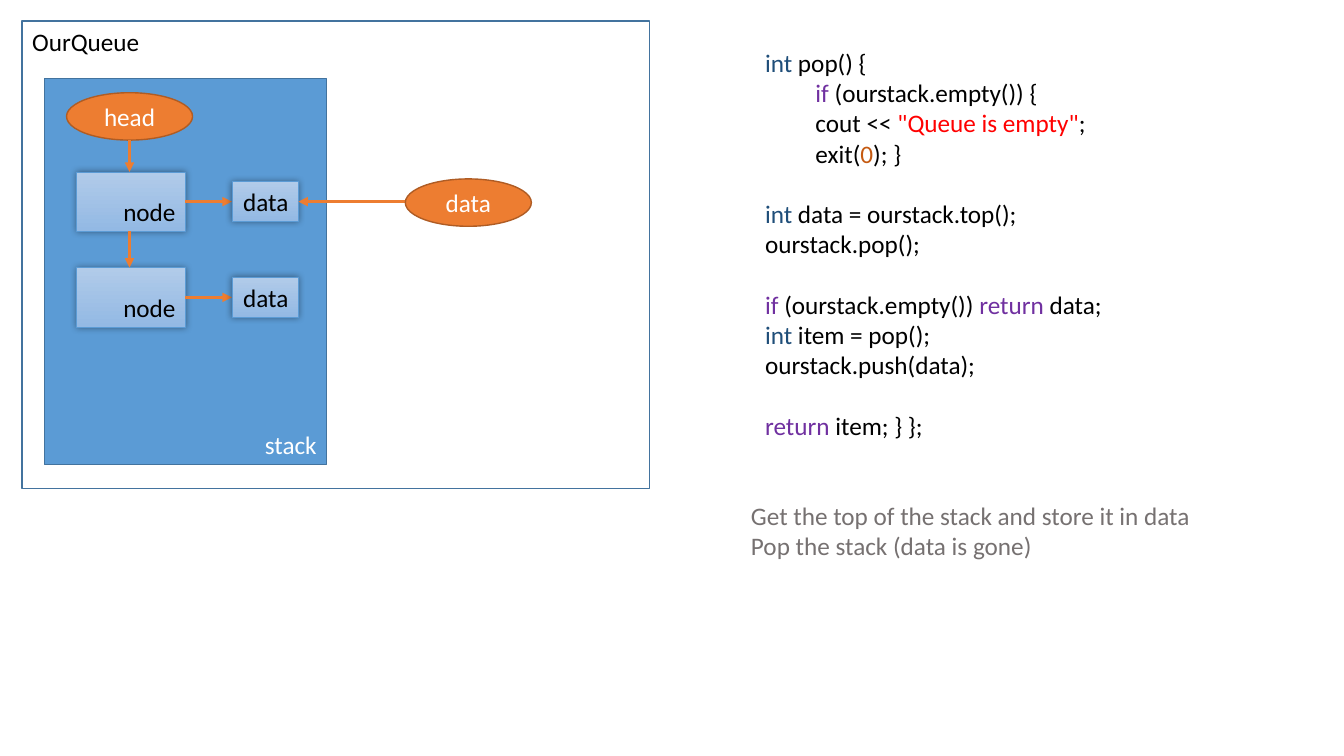
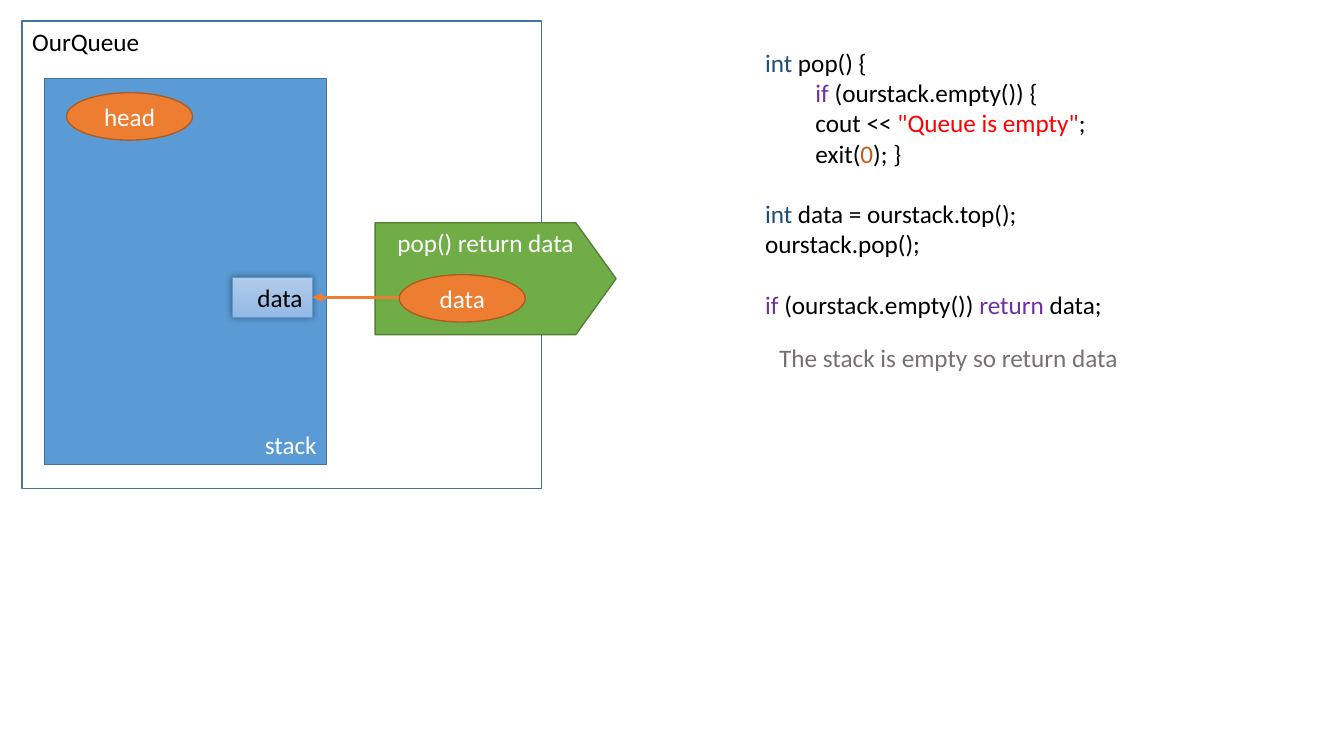
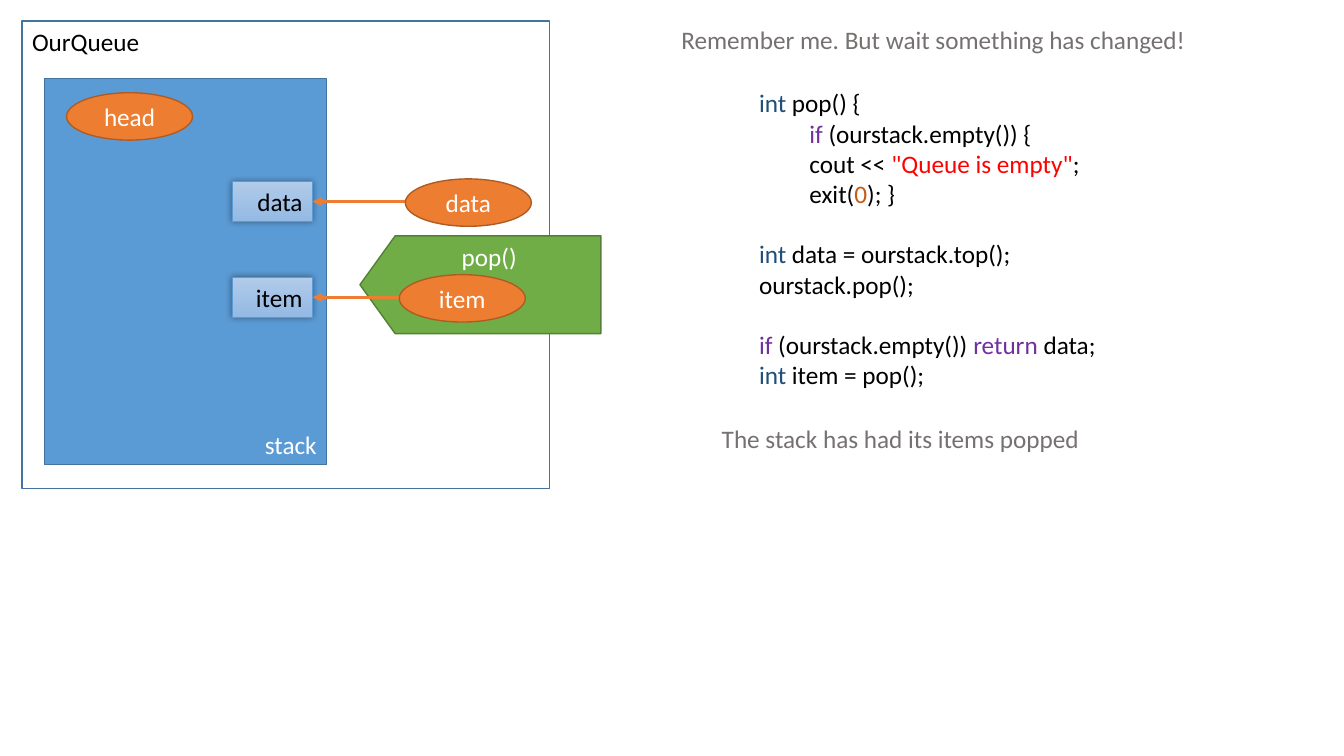
from lxml.etree import SubElement as Sub
from pptx import Presentation
from pptx.dml.color import RGBColor as Rgb
from pptx.enum.shapes import MSO_CONNECTOR as Link, MSO_SHAPE as Form
from pptx.enum.text import MSO_ANCHOR as Anchor, PP_ALIGN as Align
from pptx.oxml.ns import qn
from pptx.util import Inches, Pt

# Content
INK = {
    "text": "000000", "white": "FFFFFF", "note": "767171",
    "type": "1F4E79", "key": "7030A0", "quote": "FF0000", "num": "C55A11",
    "blue": "5B9BD5", "edge": "43739E", "orange": "ED7D31", "rust": "AF5C24",
    "green": "70AD47", "moss": "538035", "pale": "B1CBE9", "mid": "93B9E4",
}
# Each code line: blank line above, indent steps, runs
CODE = [
    (0, 0, [("int", "type"), (" pop() {", "text")]),
    (0, 1, [("if ", "key"), ("(ourstack.empty()) {", "text")]),
    (0, 1, [("cout << ", "text"), ('"Queue is empty"', "quote"), (";", "text")]),
    (0, 1, [("exit(", "text"), ("0", "num"), ("); }", "text")]),
    (1, 0, [("int", "type"), (" data = ourstack.top();", "text")]),
    (0, 0, [("ourstack.pop();", "text")]),
    (1, 0, [("if ", "key"), ("(ourstack.empty()) ", "text"),
            ("return", "key"), (" data;", "text")]),
    (0, 0, [("int", "type"), (" item = pop();", "text")]),
    (0, 0, [("ourstack.push(data);", "text")]),
    (1, 0, [("return", "key"), (" item; } };", "text")]),
]
# cells: row, label, width; refs: row, label; plate: label, box, flipped
SLIDES = [
    dict(queue=6.22, nodes=[0, 1], cells=[(0, "data", 0.66), (1, "data", 0.66)],
         refs=[(0, "data")], plate=None, code=(7.49, 0.42, 10),
         notes=[(7.35, 4.91, 4.61, ["Get the top of the stack and store it in data",
                                    "Pop the stack (data is gone)"])]),
    dict(queue=5.15, nodes=[], cells=[(1, "data", 0.8)], refs=[(1, "data")],
         plate=("pop() return data", (3.72, 2.21, 2.39, 1.11), False),
         code=(7.49, 0.42, 7),
         notes=[(7.63, 3.35, 3.6, ["The stack is empty so return data"])]),
    dict(queue=5.23, nodes=[], cells=[(0, "data", 0.8), (1, "item", 0.8)],
         refs=[(0, "data"), (1, "item")],
         plate=("pop()", (3.57, 2.34, 2.39, 0.97), True),
         code=(7.43, 0.82, 8),
         notes=[(6.66, 0.19, 5.26, ["Remember me. But wait something has changed!"]),
                (7.06, 4.15, 3.79, ["The stack has had its items popped"])]),
]

# Grid
LINE, PAD = 0.3, 0.05
ROW, STEP = 2.0, 0.95
NODE, CELL = 0.76, 2.3
REF = (4.02, 3.96)
OVAL = (1.25, 0.47)
HEAD = (0.66, 0.92)
BOX = (1.08, 0.59)
TALL = 0.4


def tint(name):
    return Rgb.from_string(INK[name])


def mid(row):
    return ROW + row * STEP


def add_run(para, text, ink):
    run = para.add_run()
    run.text = text
    run.font.name, run.font.size = "Calibri", Pt(18)
    run.font.color.rgb = tint(ink)


def shape(page, form, box, label, fill, line, ink="white",
          anchor=Anchor.MIDDLE, align=Align.CENTER, width=1):
    item = page.shapes.add_shape(form, *map(Inches, box))
    item.shadow.inherit = False
    if fill:
        item.fill.solid()
        item.fill.fore_color.rgb = tint(fill)
    else:
        item.fill.background()
    item.line.color.rgb, item.line.width = tint(line), Pt(width)
    frame = item.text_frame
    frame.word_wrap, frame.vertical_anchor = True, anchor
    para = frame.paragraphs[0]
    para.alignment = align
    add_run(para, label, ink)
    return item


def block(page, box, label):
    item = shape(page, Form.RECTANGLE, box, label, "pale", "blue", "text",
                 Anchor.BOTTOM, Align.RIGHT, 0.5)
    item.fill.gradient()
    item.fill.gradient_angle = 270
    for stop, name in zip(item.fill.gradient_stops, ("pale", "mid")):
        stop.color.rgb = tint(name)
    # Soft glow of shade on all sides
    list_ = item._element.spPr.find(qn("a:effectLst"))
    shade = Sub(list_, qn("a:outerShdw"), blurRad=str(Pt(5)), dist="0", dir="0")
    color = Sub(shade, qn("a:srgbClr"), val=INK["text"])
    Sub(color, qn("a:alpha"), val="40000")


def oval(page, left, top, label):
    shape(page, Form.OVAL, (left, top, *OVAL), label, "orange", "rust")


def arrow(page, *ends):
    link = page.shapes.add_connector(Link.STRAIGHT, *map(Inches, ends))
    link.line.color.rgb, link.line.width = tint("orange"), Pt(2.25)
    Sub(link.line._get_or_add_ln(), qn("a:tailEnd"), type="triangle")
    Sub(link._element.spPr, qn("a:effectLst"))


def text(page, left, top, wide, lines):
    count = sum(1 + gap for gap, _, _ in lines)
    area = page.shapes.add_textbox(*map(Inches, (left, top, wide,
                                                 count * LINE + 2 * PAD)))
    frame = area.text_frame
    frame.word_wrap = True
    for at, (gap, dent, runs) in enumerate(lines):
        para = frame.add_paragraph() if at else frame.paragraphs[0]
        if gap:
            para.space_before = Pt(gap * LINE * 72)
        if dent:
            para._p.get_or_add_pPr().set("marL", str(Inches(dent / 2)))
        for part, ink in runs:
            add_run(para, part, ink)


def build(page, queue, nodes, cells, refs, plate, code, notes):
    # Queue, stack and head
    shape(page, Form.RECTANGLE, (0.22, 0.21, queue, 4.64), "OurQueue", None,
          "edge", "text", Anchor.TOP, Align.LEFT)
    shape(page, Form.RECTANGLE, (0.44, 0.78, 2.8, 3.83), "stack", "blue",
          "edge", "white", Anchor.BOTTOM, Align.RIGHT)
    oval(page, *HEAD, "head")

    # Returned value
    if plate:
        label, box, flip = plate
        sign = shape(page, Form.PENTAGON, box, label, "green", "moss",
                     anchor=Anchor.TOP)
        sign.adjustments[0] = 0.36
        if flip:
            sign._element.spPr.find(qn("a:xfrm")).set("flipH", "1")

    # Chain of nodes
    wide, tall = BOX
    spine, above = HEAD[0] + OVAL[0] / 2, HEAD[1] + OVAL[1]
    for row in nodes:
        top = mid(row) - tall / 2
        block(page, (NODE, top, wide, tall), "node")
        arrow(page, NODE + wide, mid(row), CELL, mid(row))
        arrow(page, spine, above, spine, top)
        above = top + tall

    # Stored values and what points at them
    ends = {}
    for row, label, wide in cells:
        block(page, (CELL, mid(row) - TALL / 2, wide, TALL), label)
        ends[row] = CELL + wide
    for row, label in refs:
        arrow(page, REF[row], mid(row), ends[row], mid(row))
        oval(page, REF[row], mid(row) - OVAL[1] / 2 + 0.01, label)

    # Code and notes
    left, top, count = code
    text(page, left, top, 3.64, CODE[:count])
    for left, top, wide, lines in notes:
        text(page, left, top, wide, [(0, 0, [(line, "note")]) for line in lines])


deck = Presentation()
deck.slide_width, deck.slide_height = Inches(13.33), Inches(7.5)
for plan in SLIDES:
    build(deck.slides.add_slide(deck.slide_layouts[6]), **plan)
deck.save("out.pptx")
